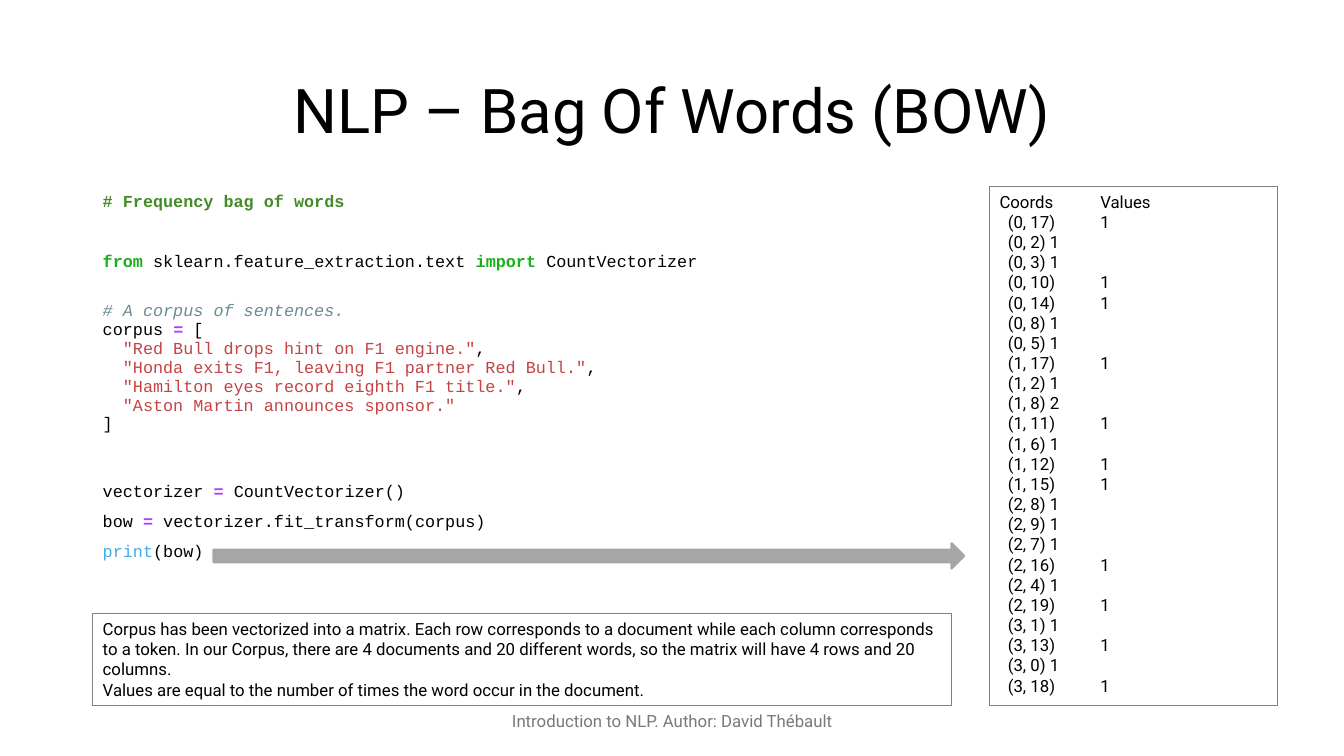
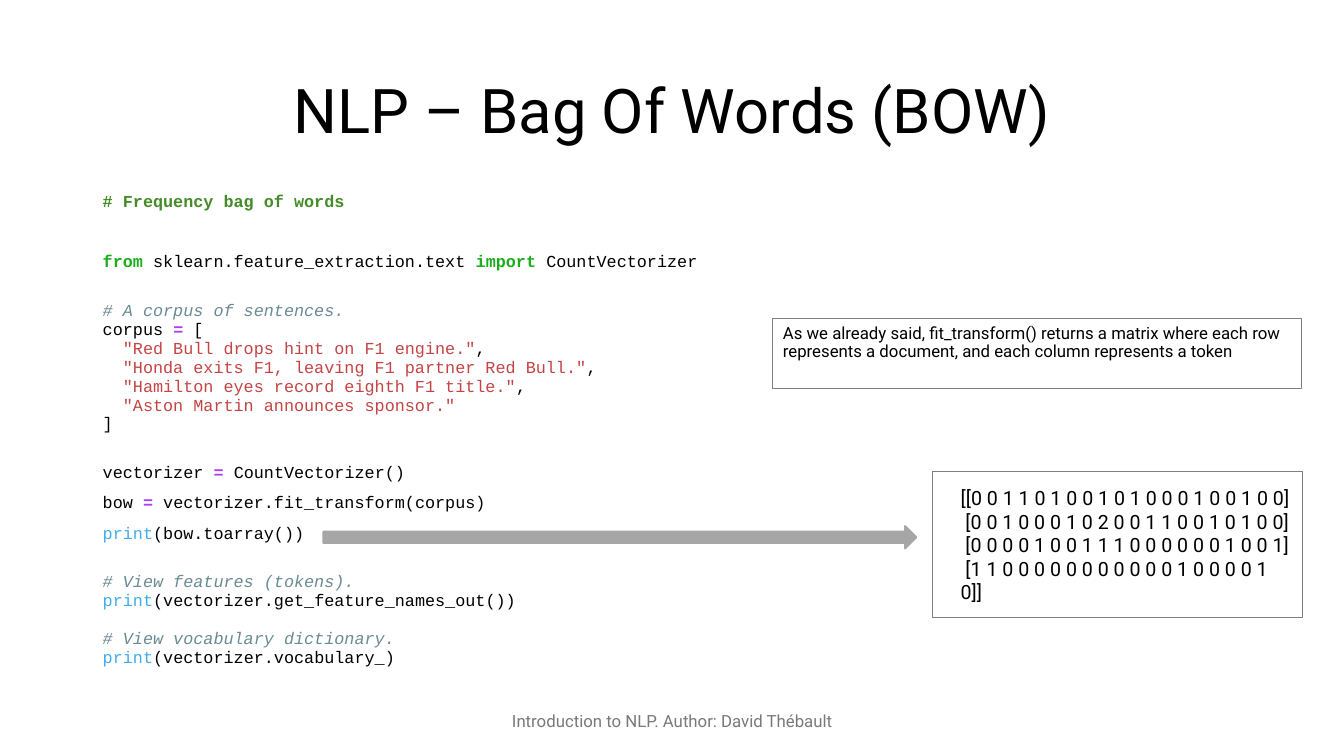
from pptx import Presentation
from pptx.dml.color import RGBColor
from pptx.enum.shapes import MSO_SHAPE as Preset
from pptx.enum.text import MSO_ANCHOR as Anchor, PP_ALIGN as Align
from pptx.util import Cm, Pt

TEXT_FONT, CODE_FONT = "Roboto", "Courier New"
BLACK, FOOTER_GREY, BORDER_GREY, ARROW_GREY = "000000", "797979", "808080", "A6A6A6"
TITLE_BOX = (2.34, 1.02, 29.21, 3.68)
FOOTER_BOX = (11.23, 17.65, 11.43, 1.02)
LEFT, CODE_TOP, CODE_WIDTH = 2.34, 4.72, 15.98
CODE_PITCH = 13.5
# Space before a code line, in points
TIGHT, LOOSE, GAP, WIDE_GAP, WIDEST_GAP = 0, 8, 21.4, 29.4, 34.9

# Code style: colour, bold, italic
CODE_STYLES = {
    "heading": ("448C27", True, False),
    "keyword": ("1BAE1B", True, False),
    "operator": ("AD3EFE", True, False),
    "comment": ("6A8B93", False, True),
    "string": ("C44445", False, False),
    "builtin": ("41ADEC", False, False),
    "plain": (BLACK, False, False),
}


def assignment(space, name, value):
    return space, [("plain", name + " "), ("operator", "= "), ("plain", value)]


def print_call(space, argument):
    return space, [("builtin", "print"), ("plain", f"({argument})")]


def comment(space, text):
    return space, [("comment", "# " + text)]


def corpus_lines():
    sentences = [
        "Red Bull drops hint on F1 engine.",
        "Honda exits F1, leaving F1 partner Red Bull.",
        "Hamilton eyes record eighth F1 title.",
        "Aston Martin announces sponsor.",
    ]
    lines = [(TIGHT, [("string", f'  "{sentence}"'), ("plain", ",")])
             for sentence in sentences]
    lines[-1][1].pop()
    return lines


def vectorizer_code(gap, printed):
    """Return the listing common to the slides; gap precedes the vectorizer."""
    return [
        (TIGHT, [("heading", "# Frequency bag of words")]),
        (WIDE_GAP, [("keyword", "from "), ("plain", "sklearn.feature_extraction.text "),
                    ("keyword", "import "), ("plain", "CountVectorizer")]),
        comment(GAP, "A corpus of sentences."),
        assignment(TIGHT, "corpus", "["),
        *corpus_lines(),
        (TIGHT, [("plain", "]")]),
        assignment(gap, "vectorizer", "CountVectorizer()"),
        assignment(LOOSE, "bow", "vectorizer.fit_transform(corpus)"),
        print_call(LOOSE, printed),
    ]


def color(hex_string):
    return RGBColor.from_string(hex_string)


def lengths(box):
    return [Cm(value) for value in box]


def format_paragraph(paragraph, size, hex_color=BLACK, align=Align.LEFT, spacing=None):
    paragraph.alignment = align
    paragraph.line_spacing = spacing
    font = paragraph.font
    font.name, font.size = TEXT_FONT, Pt(size)
    font.color.rgb = color(hex_color)


def paragraphs_for(frame, items):
    """Yield a paragraph of the frame with each item."""
    for index, item in enumerate(items):
        yield (frame.add_paragraph() if index else frame.paragraphs[0]), item


def add_titled_slide(presentation, title_text):
    slide = presentation.slides.add_slide(presentation.slide_layouts[5])
    title = slide.shapes.title
    title.left, title.top, title.width, title.height = lengths(TITLE_BOX)
    title.text_frame.text = title_text
    title.text_frame.vertical_anchor = Anchor.MIDDLE
    format_paragraph(title.text_frame.paragraphs[0], 44, align=Align.CENTER, spacing=0.9)

    footer = slide.shapes.add_textbox(*lengths(FOOTER_BOX)).text_frame
    footer.word_wrap = True
    footer.vertical_anchor = Anchor.MIDDLE
    footer.text = "Introduction to NLP. Author: David Thébault"
    format_paragraph(footer.paragraphs[0], 12, FOOTER_GREY, Align.CENTER)
    return slide


def add_code(slide, box, lines):
    frame = slide.shapes.add_textbox(*lengths(box)).text_frame
    frame.word_wrap = True
    for paragraph, (space, spans) in paragraphs_for(frame, lines):
        paragraph.line_spacing = Pt(CODE_PITCH)
        paragraph.space_before = Pt(space)
        paragraph.font.name, paragraph.font.size = CODE_FONT, Pt(12)
        for style, text in spans:
            run = paragraph.add_run()
            run.text = text
            hex_color, run.font.bold, run.font.italic = CODE_STYLES[style]
            run.font.color.rgb = color(hex_color)


def add_bordered_text(slide, box, lines, size=12, spacing=None,
                      anchor=Anchor.TOP, left_inset=0.25):
    shape = slide.shapes.add_shape(Preset.RECTANGLE, *lengths(box))
    shape.shadow.inherit = False
    shape.fill.background()
    shape.line.color.rgb = color(BORDER_GREY)
    shape.line.width = Pt(0.75)
    frame = shape.text_frame
    frame.word_wrap = True
    frame.vertical_anchor = anchor
    frame.margin_left = Cm(left_inset)
    for paragraph, line in paragraphs_for(frame, lines):
        paragraph.text = line
        format_paragraph(paragraph, size, spacing=spacing)


def add_block_arrow(slide, box):
    arrow = slide.shapes.add_shape(Preset.RIGHT_ARROW, *lengths(box))
    arrow.shadow.inherit = False
    arrow.fill.solid()
    arrow.fill.fore_color.rgb = arrow.line.color.rgb = color(ARROW_GREY)
    arrow.line.width = Pt(1.5)


def sparse_matrix_lines():
    tokens_by_document = [
        [17, 2, 3, 10, 14, 8, 5],
        [17, 2, 8, 11, 6, 12, 15],
        [8, 9, 7, 16, 4, 19],
        [1, 13, 0, 18],
    ]
    repeated = {(1, 8): 2}
    return ["Coords\tValues"] + [
        f"  ({row}, {token})\t{repeated.get((row, token), 1)}"
        for row, tokens in enumerate(tokens_by_document) for token in tokens]


def add_sparse_slide(presentation, title):
    slide = add_titled_slide(presentation, title)
    add_code(slide, (LEFT, CODE_TOP, CODE_WIDTH, 10.36),
             vectorizer_code(WIDEST_GAP, "bow"))
    add_bordered_text(slide, (24.94, 4.7, 7.26, 13.08), sparse_matrix_lines())
    add_bordered_text(slide, (LEFT, 15.47, 21.64, 2.31), [
        "Corpus has been vectorized into a matrix. Each row corresponds to a document "
        "while each column corresponds to a token. In our Corpus, there are 4 documents "
        "and 20 different words, so the matrix will have 4 rows and 20 columns.",
        "Values are equal to the number of times the word occur in the document.",
    ])
    add_block_arrow(slide, (5.38, 13.69, 18.92, 0.64))


def add_array_slide(presentation, title):
    slide = add_titled_slide(presentation, title)
    add_code(slide, (LEFT, CODE_TOP, CODE_WIDTH, 13.13), [
        *vectorizer_code(GAP, "bow.toarray()"),
        comment(GAP, "View features (tokens)."),
        print_call(TIGHT, "vectorizer.get_feature_names_out()"),
        comment(CODE_PITCH, "View vocabulary dictionary."),
        print_call(TIGHT, "vectorizer.vocabulary_"),
    ])
    add_bordered_text(slide, (23.5, 11.89, 9.32, 3.68), [
        "[[0 0 1 1 0 1 0 0 1 0 1 0 0 0 1 0 0 1 0 0]",
        " [0 0 1 0 0 0 1 0 2 0 0 1 1 0 0 1 0 1 0 0]",
        " [0 0 0 0 1 0 0 1 1 1 0 0 0 0 0 0 1 0 0 1]",
        " [1 1 0 0 0 0 0 0 0 0 0 0 0 1 0 0 0 0 1 0]]",
    ], size=14, anchor=Anchor.MIDDLE, left_inset=0.71)
    add_bordered_text(slide, (19.48, 8.03, 13.31, 1.75), [
        "As we already said, fit_transform() returns a matrix where each row "
        "represents a document, and each column represents a token",
    ], spacing=Pt(CODE_PITCH))
    add_block_arrow(slide, (8.15, 13.26, 14.94, 0.56))


def main():
    presentation = Presentation()
    presentation.slide_width, presentation.slide_height = Cm(33.87), Cm(19.05)
    title = "NLP – Bag Of Words (BOW)"
    add_sparse_slide(presentation, title)
    add_array_slide(presentation, title)
    presentation.save("out.pptx")


if __name__ == "__main__":
    main()
